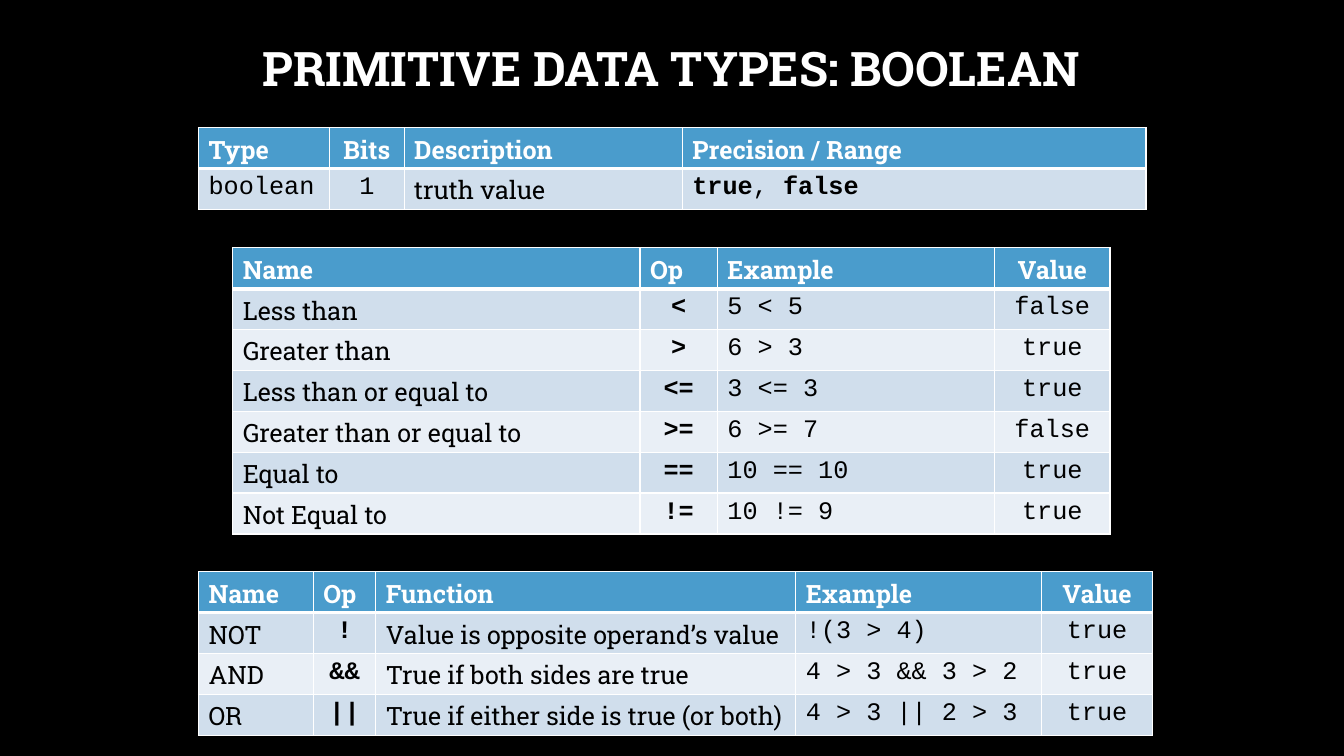
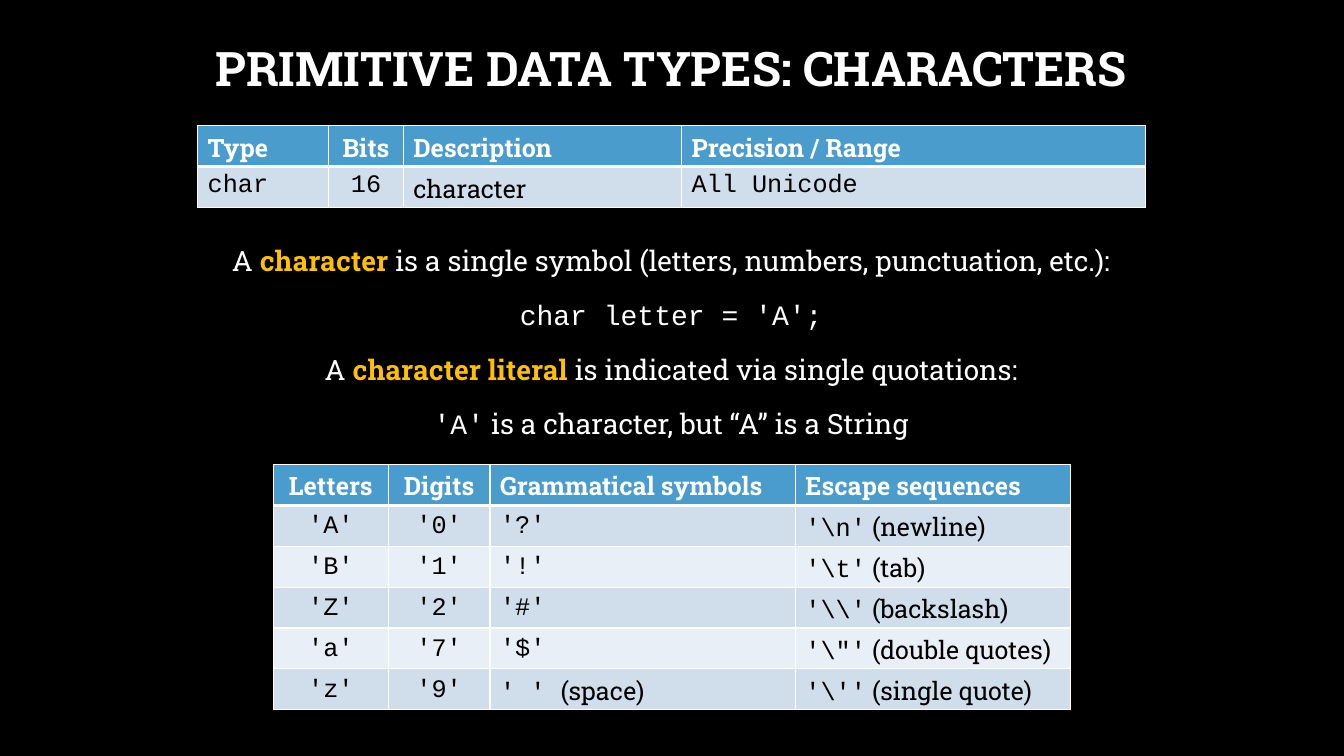
from collections import namedtuple

from lxml import etree
from pptx import Presentation
from pptx.dml.color import RGBColor
from pptx.enum.text import MSO_ANCHOR, PP_ALIGN
from pptx.oxml.ns import qn
from pptx.util import Pt

LEFT, CENTER = PP_ALIGN.LEFT, PP_ALIGN.CENTER
TOP, MIDDLE, BOTTOM = MSO_ANCHOR.TOP, MSO_ANCHOR.MIDDLE, MSO_ANCHOR.BOTTOM

SLAB, MONO = "Roboto Slab", "Courier New"
BLACK, WHITE, GOLD = "000000", "FFFFFF", "FFC000"
HEADING_FILL = "4A9CCC"
BAND_FILLS = ("D0DEEC", "E9EFF6")
SLIDE_WIDTH, SLIDE_HEIGHT = 960, 540
TEXT_LEFT, TEXT_WIDTH = 72, 815
ROW_HEIGHT = 29.2
THIN, THICK = 1, 3

Column = namedtuple("Column", "heading width font bold align heading_align",
                    defaults=(SLAB, False, LEFT, LEFT))

TYPE_COLUMNS = (
    Column("Type", 93.6, MONO),
    Column("Bits", 53.3, MONO, False, CENTER, CENTER),
    Column("Description", 198.7),
    Column("Precision / Range", 331.2, MONO),
)
COMPARISON_COLUMNS = (
    Column("Name", 291),
    Column("Op", 55.3, MONO, True, CENTER),
    Column("Example", 198, MONO),
    Column("Value", 82.4, MONO, False, CENTER, CENTER),
)
LOGIC_COLUMNS = (
    Column("Name", 82),
    Column("Op", 44.7, MONO, True, CENTER),
    Column("Function", 300),
    Column("Example", 175.7, MONO),
    Column("Value", 79, MONO, False, CENTER, CENTER),
)
LITERAL_COLUMNS = (
    Column("Letters", 82, MONO, False, CENTER, CENTER),
    Column("Digits", 72.7, MONO, False, CENTER, CENTER),
    Column("Grammatical symbols", 218.2, MONO),
    Column("Escape sequences", 196.6, MONO),
)

BOOLEAN_TYPE = [
    ("boolean", "1", "truth value",
     [("true", {"bold": True}), (", ", {}), ("false", {"bold": True})]),
]
COMPARISONS = [
    ("Less than", "<", "5 < 5", "false"),
    ("Greater than", ">", "6 > 3", "true"),
    ("Less than or equal to", "<=", "3 <= 3", "true"),
    ("Greater than or equal to", ">=", "6 >= 7", "false"),
    ("Equal to", "==", "10 == 10", "true"),
    ("Not Equal to", "!=", "10 != 9", "true"),
]
LOGIC = [
    ("NOT", "!", "Value is opposite operand’s value", "!(3 > 4)", "true"),
    ("AND", "&&", "True if both sides are true", "4 > 3 && 3 > 2", "true"),
    ("OR", "||", "True if either side is true (or both)", "4 > 3 || 2 > 3", "true"),
]
CHARACTER_TYPE = [("char", "16", "character", "All Unicode")]


def explained(literal, meaning):
    """Return the runs of a literal followed by its meaning."""
    return [(literal, {}), (meaning, {"font": SLAB})]


LITERALS = [
    ("'A'", "'0'", "'?'", explained(r"'\n'", " (newline)")),
    ("'B'", "'1'", "'!'", explained(r"'\t'", " (tab)")),
    ("'Z'", "'2'", "'#'", explained(r"'\\'", " (backslash)")),
    ("'a'", "'7'", "'$'", explained(r"'\"'", " (double quotes)")),
    ("'z'", "'9'", explained("' ' ", "(space)"), explained(r"'\''", " (single quote)")),
]
TERM = {"color": GOLD, "bold": True}
CHARACTER_NOTES = [
    [("A ", {}), ("character", TERM),
     (" is a single symbol (letters, numbers, punctuation, etc.):", {})],
    [("char letter = 'A';", {"font": MONO})],
    [("A ", {}), ("character literal", TERM),
     (" is indicated via single quotations:", {})],
    [("'A'", {"font": MONO}), (" is a character, but “A” is a String", {})],
]


def rgb(hex_color):
    """Turn a hex string into a colour."""
    return RGBColor.from_string(hex_color)


def write(paragraph, text, align=LEFT, **style):
    """Write a string or a list of (text, overrides) runs into a paragraph."""
    paragraph.alignment = align
    runs = [(text, {})] if isinstance(text, str) else text
    for words, overrides in runs:
        look = {"font": SLAB, "size": 18, "color": WHITE, "bold": False, **style, **overrides}
        run = paragraph.add_run()
        run.text = words
        run.font.name = look["font"]
        run.font.size = Pt(look["size"])
        run.font.bold = look["bold"]
        run.font.color.rgb = rgb(look["color"])


def add_frame(slide, left, top, width, height, anchor):
    """Add a wrapping text frame in the given box."""
    frame = slide.shapes.add_textbox(Pt(left), Pt(top), Pt(width), Pt(height)).text_frame
    frame.word_wrap = True
    frame.vertical_anchor = anchor
    return frame


def border_cell(cell, top, bottom):
    """Draw white borders around a cell, with the given top and bottom widths."""
    properties = cell._tc.get_or_add_tcPr()
    sides = (("a:lnL", THIN), ("a:lnR", THIN), ("a:lnT", top), ("a:lnB", bottom))
    for position, (side, width) in enumerate(sides):
        line = etree.Element(qn(side), w=str(Pt(width)))
        fill = etree.SubElement(line, qn("a:solidFill"))
        etree.SubElement(fill, qn("a:srgbClr"), val=WHITE)
        properties.insert(position, line)


def fill_cell(cell, text, fill, anchor=TOP, top=THIN, bottom=THIN, **style):
    """Give a cell its text, fill and borders."""
    cell.fill.solid()
    cell.fill.fore_color.rgb = rgb(fill)
    cell.vertical_anchor = anchor
    border_cell(cell, top, bottom)
    write(cell.text_frame.paragraphs[0], text, **style)


def add_grid(slide, left, top, columns, rows, anchor=TOP):
    """Add a table with a heading row and banded rows at the given corner."""
    width = sum(column.width for column in columns)
    height = ROW_HEIGHT * (len(rows) + 1)
    table = slide.shapes.add_table(len(rows) + 1, len(columns), Pt(left), Pt(top),
                                   Pt(width), Pt(height)).table
    table.horz_banding = False
    for row in table.rows:
        row.height = Pt(ROW_HEIGHT)
    for c, column in enumerate(columns):
        table.columns[c].width = Pt(column.width)
        fill_cell(table.cell(0, c), column.heading, HEADING_FILL, bottom=THICK,
                  align=column.heading_align, bold=True)
        for r, values in enumerate(rows):
            fill_cell(table.cell(r + 1, c), values[c], BAND_FILLS[r % 2], anchor,
                      top=THIN if r else THICK, align=column.align,
                      font=column.font, bold=column.bold, color=BLACK)


def add_notes(slide, top, height, lines):
    """Add centred lines of text over the width of the title."""
    frame = add_frame(slide, TEXT_LEFT, top, TEXT_WIDTH, height, TOP)
    for index, line in enumerate(lines):
        paragraph = frame.add_paragraph() if index else frame.paragraphs[0]
        paragraph.line_spacing = 1.2
        paragraph.space_before = Pt(10)
        write(paragraph, line, align=CENTER, size=20)


def add_titled_slide(deck, title):
    """Add a black slide with a centred title."""
    slide = deck.slides.add_slide(deck.slide_layouts[6])
    slide.background.fill.solid()
    slide.background.fill.fore_color.rgb = rgb(BLACK)
    frame = add_frame(slide, TEXT_LEFT, 0, TEXT_WIDTH, 102, MIDDLE)
    frame.paragraphs[0].line_spacing = 0.9
    write(frame.paragraphs[0], title, align=CENTER, size=34, bold=True)
    return slide


def add_boolean_slide(deck):
    """Add the slide on the boolean type and its operators."""
    slide = add_titled_slide(deck, "PRIMITIVE DATA TYPES: BOOLEAN")
    add_grid(slide, 141.8, 91.2, TYPE_COLUMNS, BOOLEAN_TYPE)
    add_grid(slide, 166.2, 177, COMPARISON_COLUMNS, COMPARISONS)
    add_grid(slide, 141.8, 408.4, LOGIC_COLUMNS, LOGIC)


def add_character_slide(deck):
    """Add the slide on the character type and its literals."""
    slide = add_titled_slide(deck, "PRIMITIVE DATA TYPES: CHARACTERS")
    add_notes(slide, 165.6, 172.8, CHARACTER_NOTES)
    add_grid(slide, 195.3, 331.8, LITERAL_COLUMNS, LITERALS, BOTTOM)
    add_grid(slide, 141.2, 89.8, TYPE_COLUMNS, CHARACTER_TYPE)


def main():
    """Build and save the presentation."""
    deck = Presentation()
    deck.slide_width, deck.slide_height = Pt(SLIDE_WIDTH), Pt(SLIDE_HEIGHT)
    add_boolean_slide(deck)
    add_character_slide(deck)
    deck.save("out.pptx")


if __name__ == "__main__":
    main()
